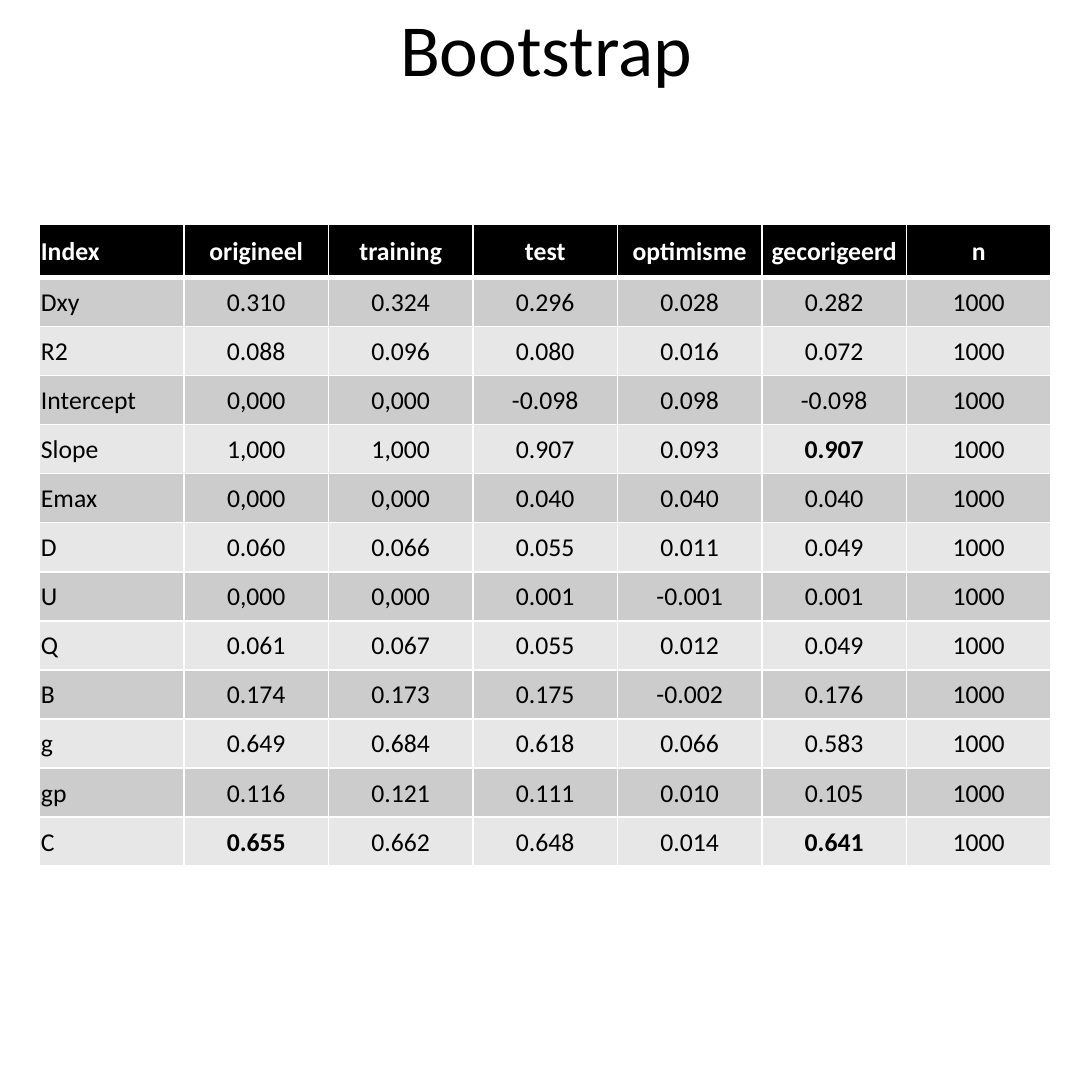
from lxml.etree import SubElement
from pptx import Presentation
from pptx.dml.color import RGBColor
from pptx.enum.text import MSO_ANCHOR as Anchor, PP_ALIGN as Align
from pptx.oxml.ns import qn
from pptx.util import Inches, Pt

TITLE = "Bootstrap"
HEADER = ("Index", "origineel", "training", "test", "optimisme", "gecorigeerd", "n")
RESULTS = [
    ("Dxy", "0.310", "0.324", "0.296", "0.028", "0.282", "1000"),
    ("R2", "0.088", "0.096", "0.080", "0.016", "0.072", "1000"),
    ("Intercept", "0,000", "0,000", "-0.098", "0.098", "-0.098", "1000"),
    ("Slope", "1,000", "1,000", "0.907", "0.093", "0.907", "1000"),
    ("Emax", "0,000", "0,000", "0.040", "0.040", "0.040", "1000"),
    ("D", "0.060", "0.066", "0.055", "0.011", "0.049", "1000"),
    ("U", "0,000", "0,000", "0.001", "-0.001", "0.001", "1000"),
    ("Q", "0.061", "0.067", "0.055", "0.012", "0.049", "1000"),
    ("B", "0.174", "0.173", "0.175", "-0.002", "0.176", "1000"),
    ("g", "0.649", "0.684", "0.618", "0.066", "0.583", "1000"),
    ("gp", "0.116", "0.121", "0.111", "0.010", "0.105", "1000"),
    ("C", "0.655", "0.662", "0.648", "0.014", "0.641", "1000"),
]
HIGHLIGHTS = {("Slope", "gecorigeerd"), ("C", "origineel"), ("C", "gecorigeerd")}
COLORS = {"text": "000000", "header": "000000", "header_text": "FFFFFF",
          "border": "FFFFFF", "odd": "CCCCCC", "even": "E7E7E7"}
FONT = "Calibri"
SIDE = 8.27
TABLE_LEFT, TABLE_TOP, TABLE_WIDTH, TABLE_HEIGHT = 0.3, 1.7, 7.66, 4.86
HEADER_HEIGHT = 0.4


def style_text(para, size, color, align, bold=False):
    para.alignment = align
    for span in para.runs:
        span.font.name = FONT
        span.font.size = Pt(size)
        span.font.bold = bold
        span.font.color.rgb = RGBColor.from_string(COLORS[color])


def add_border(cell, side, points):
    line = SubElement(cell._tc.get_or_add_tcPr(), qn(f"a:ln{side}"), w=str(Pt(points)))
    fill = SubElement(line, qn("a:solidFill"))
    SubElement(fill, qn("a:srgbClr"), val=COLORS["border"])


def fill_cell(cell, row, column, text):
    is_header = row == 0
    for side in "LRTB":
        thick = (row, side) in {(0, "B"), (1, "T")}
        add_border(cell, side, 3 if thick else 1)
    band = "header" if is_header else "odd" if row % 2 else "even"
    cell.fill.solid()
    cell.fill.fore_color.rgb = RGBColor.from_string(COLORS[band])
    cell.vertical_anchor = Anchor.MIDDLE
    cell.margin_left = cell.margin_right = cell.margin_top = Inches(0.01)
    cell.margin_bottom = 0
    cell.text_frame.text = text
    bold = is_header or (RESULTS[row - 1][0], HEADER[column]) in HIGHLIGHTS
    style_text(cell.text_frame.paragraphs[0], 14,
               "header_text" if is_header else "text",
               Align.CENTER if column else Align.LEFT, bold)


def add_title(page):
    title = page.shapes.title
    title.left, title.top = 0, 0
    title.width, title.height = Inches(SIDE), Inches(0.8)
    title.text_frame.text = TITLE
    title.text_frame.vertical_anchor = Anchor.MIDDLE
    para = title.text_frame.paragraphs[0]
    para.line_spacing = 0.9
    style_text(para, 40, "text", Align.CENTER)


def add_results(page):
    rows = [HEADER, *RESULTS]
    table = page.shapes.add_table(
        len(rows), len(HEADER), Inches(TABLE_LEFT), Inches(TABLE_TOP),
        Inches(TABLE_WIDTH), Inches(TABLE_HEIGHT)).table
    for column in table.columns:
        column.width = Inches(TABLE_WIDTH / len(HEADER))
    body_height = (TABLE_HEIGHT - HEADER_HEIGHT) / len(RESULTS)
    for row, values in enumerate(rows):
        table.rows[row].height = Inches(body_height if row else HEADER_HEIGHT)
        for column, text in enumerate(values):
            fill_cell(table.cell(row, column), row, column, text)


def main():
    deck = Presentation()
    deck.slide_width = deck.slide_height = Inches(SIDE)
    page = deck.slides.add_slide(deck.slide_layouts.get_by_name("Title Only"))
    add_title(page)
    add_results(page)
    deck.save("out.pptx")


if __name__ == "__main__":
    main()
